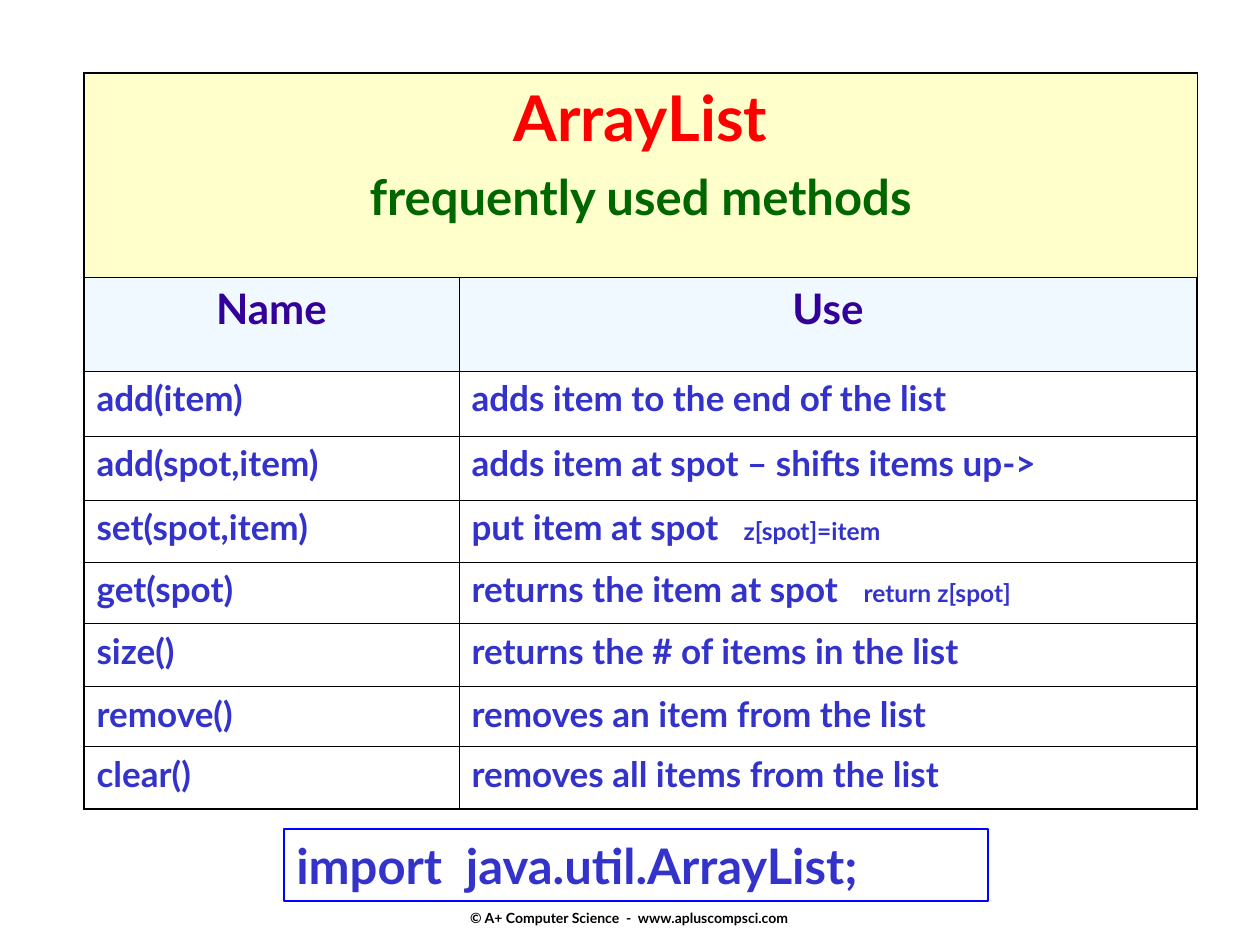
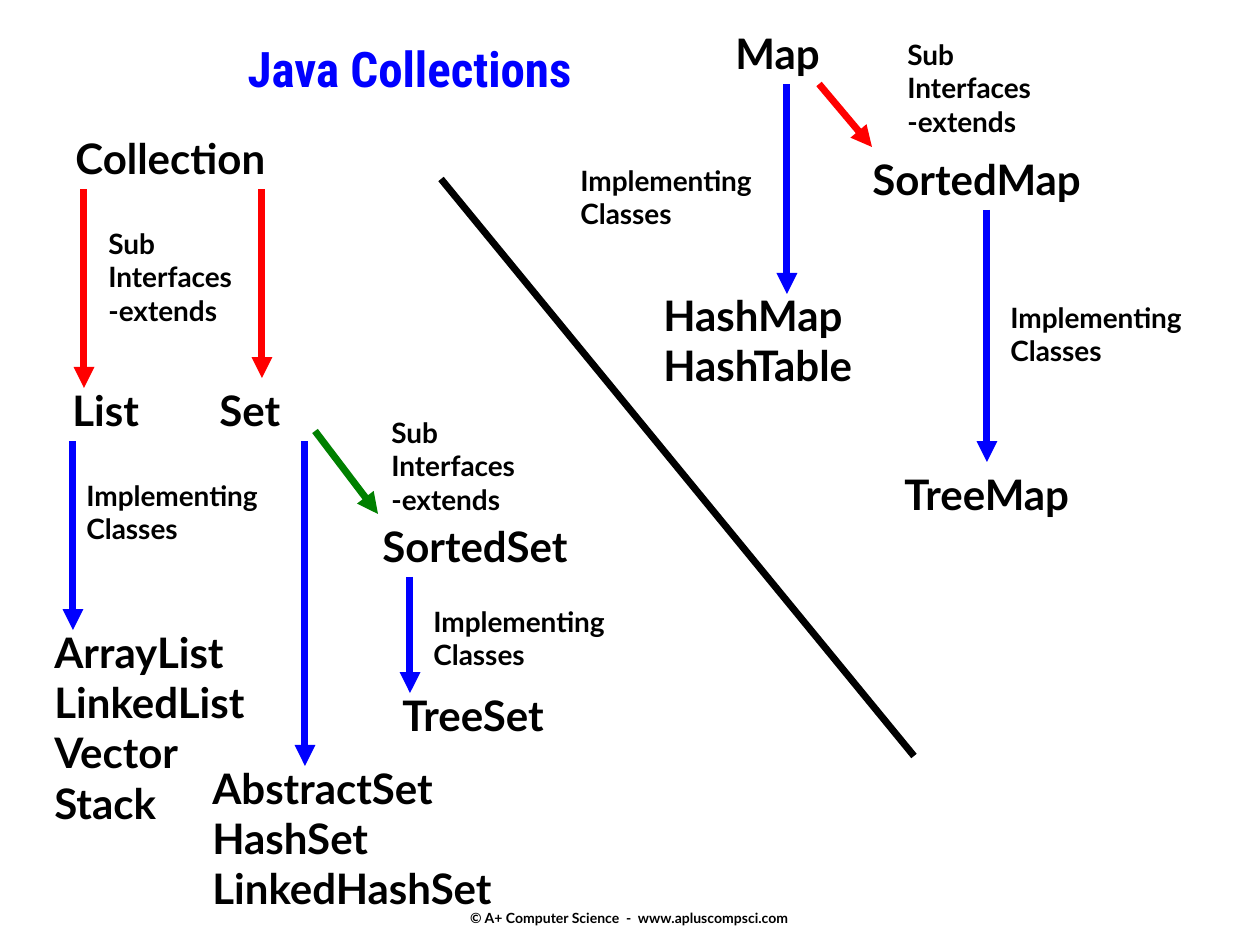
from dataclasses import dataclass

from lxml import etree
from pptx import Presentation
from pptx import util as u
from pptx.dml.color import RGBColor
from pptx.enum import shapes, text
from pptx.oxml import ns

SCALE = 914400 / 126  # EMU in one px


@dataclass(frozen=True)
class Theme:
    font: str = "Lato"
    title_font: str = "Roboto Condensed"
    black: str = "000000"
    blue: str = "0000FF"
    red: str = "FF0000"
    green: str = "008000"
    heading_green: str = "006600"
    purple: str = "330099"
    code_blue: str = "3333CC"
    cream: str = "FFFFCC"
    pale_blue: str = "F0F9FF"
    banner: int = 36
    title: int = 28
    node: int = 24
    body: int = 20
    label: int = 16
    aside: int = 14
    footer: int = 8
    arrow: float = 4
    outer_border: float = 1.08
    inner_border: float = 0.45


T = Theme()
LEFT, CENTER = text.PP_ALIGN.LEFT, text.PP_ALIGN.CENTER

METHODS = [
    ("add(item)", "adds item to the end of the list"),
    ("add(spot,item)", "adds item at spot – shifts items up->"),
    ("set(spot,item)", "put item at spot", "z[spot]=item", 272),
    ("get(spot)", "returns the item at spot", "return z[spot]", 392),
    ("size()", "returns the # of items in the list"),
    ("remove()", "removes an item from the list"),
    ("clear()", "removes all items from the list"),
]

EXTENDS = ("Sub", "Interfaces", "-extends")
IMPLEMENTS = ("Implementing", "Classes")

# Nodes: left, top, width, names. Labels: left, top. Arrows: from, to, colour.
COLLECTION_NODES = [
    (21, 0, 234, ["Collection"]),
    (18, 252, 110, ["List"]),
    (165, 252, 110, ["Set"]),
    (0, 494, 242, ["ArrayList", "LinkedList", "Vector", "Stack"]),
    (158, 630, 339, ["AbstractSet", "HashSet", "LinkedHashSet"]),
    (348, 557, 184, ["TreeSet"]),
    (328, 388, 229, ["SortedSet"]),
]
COLLECTION_LABELS = [
    (EXTENDS, [(54, 94), (337, 283)]),
    (IMPLEMENTS, [(32, 346), (379, 472)]),
]
COLLECTION_ARROWS = [
    (42, 63, 42, 262, T.red),
    (220, 63, 220, 252, T.red),
    (273, 305, 336, 388, T.green),
    (263, 315, 263, 640, T.blue),
    (368, 451, 368, 567, T.blue),
    (31, 315, 31, 504, T.blue),
]
MAP_NODES = [
    (155, 0, 116, ["Map"]),
    (324, 441, 209, ["TreeMap"]),
    (292, 126, 254, ["SortedMap"]),
    (83, 262, 244, ["HashMap", "HashTable"]),
]
MAP_LABELS = [
    (EXTENDS, [(327, 10)]),
    (IMPLEMENTS, [(430, 273), (0, 136)]),
]
MAP_ARROWS = [
    (251, 63, 304, 126, T.red),
    (219, 63, 219, 273, T.blue),
    (419, 189, 419, 441, T.blue),
]


def px(length):
    return u.Emu(round(length * SCALE))


def rgb(colour):
    return RGBColor.from_string(colour)


def add_run(paragraph, words, size, colour, font=T.font):
    run = paragraph.add_run()
    run.text = words
    run.font.name = font
    run.font.size = u.Pt(size)
    run.font.bold = True
    run.font.color.rgb = rgb(colour)


def write(frame, lines, size, colour, align=LEFT, font=T.font):
    for number, line in enumerate(lines):
        paragraph = frame.paragraphs[0] if number == 0 else frame.add_paragraph()
        paragraph.alignment = align
        add_run(paragraph, line, size, colour, font)


def add_words(slide, left, top, width, height, lines, size,
              align=LEFT, anchor=text.MSO_ANCHOR.TOP):
    box = slide.shapes.add_textbox(px(left), px(top), px(width), px(height))
    box.text_frame.word_wrap = True
    box.text_frame.vertical_anchor = anchor
    write(box.text_frame, lines, size, T.black, align)
    return box


def add_footer(slide):
    add_words(slide, 430, 900, 399, 36,
              ["© A+ Computer Science  -  www.apluscompsci.com"],
              T.footer, CENTER, text.MSO_ANCHOR.MIDDLE)


def add_line(slide, x1, y1, x2, y2, colour, arrow=True):
    line = slide.shapes.add_connector(
        shapes.MSO_CONNECTOR.STRAIGHT, px(x1), px(y1), px(x2), px(y2))
    line.line.color.rgb = rgb(colour)
    line.line.width = u.Pt(T.arrow)
    properties = line._element.spPr
    if arrow:
        outline = properties.find(ns.qn("a:ln"))
        etree.SubElement(outline, ns.qn("a:tailEnd"), type="triangle")
    etree.SubElement(properties, ns.qn("a:effectLst"))
    return line


def set_borders(cell, outer):
    """Draw the four borders, heavier on the sides named in outer."""
    properties = cell._tc.get_or_add_tcPr()
    for side in "LRTB":
        width = T.outer_border if side in outer else T.inner_border
        border = etree.SubElement(properties, ns.qn(f"a:ln{side}"),
                                  w=str(u.Pt(width)))
        fill = etree.SubElement(border, ns.qn("a:solidFill"))
        etree.SubElement(fill, ns.qn("a:srgbClr"), val=T.black)


def fill_cell(cell, colour):
    cell.fill.solid()
    cell.fill.fore_color.rgb = rgb(colour)


def add_aside(paragraph, words, tab):
    """Add a smaller remark that starts at a tab stop."""
    stops = etree.SubElement(paragraph._p.get_or_add_pPr(), ns.qn("a:tabLst"))
    etree.SubElement(stops, ns.qn("a:tab"), pos=str(px(tab)), algn="l")
    add_run(paragraph, "\t", T.body, T.code_blue)
    add_run(paragraph, words, T.aside, T.code_blue)


def methods_table(slide, left, top):
    widths = (375, 738)
    heights = (204, 94, 65, 64, 62, 62, 63, 60, 62)
    table = slide.shapes.add_table(
        len(heights), len(widths), px(left), px(top),
        px(sum(widths)), px(sum(heights))).table
    table.first_row = table.horz_banding = False
    for column, width in zip(table.columns, widths):
        column.width = px(width)
    last_row, last_column = len(heights) - 1, len(widths) - 1
    for r, height in enumerate(heights):
        table.rows[r].height = px(height)
        for c in range(len(widths)):
            outer = (("T" if r == 0 else "") + ("B" if r == last_row else "")
                     + ("L" if c == 0 else "") + ("R" if c == last_column else ""))
            set_borders(table.cell(r, c), outer)
            table.cell(r, c).fill.background()

    banner = table.cell(0, 0)
    banner.merge(table.cell(0, last_column))
    fill_cell(banner, T.cream)
    write(banner.text_frame, ["ArrayList"], T.banner, T.red, CENTER)
    subtitle = banner.text_frame.add_paragraph()
    subtitle.alignment = CENTER
    subtitle.space_before = u.Pt(7)
    add_run(subtitle, "frequently used methods", T.title, T.heading_green)

    for c, heading in enumerate(("Name", "Use")):
        fill_cell(table.cell(1, c), T.pale_blue)
        write(table.cell(1, c).text_frame, [heading], T.node, T.purple, CENTER)
    for r, (name, use, *aside) in enumerate(METHODS, start=2):
        write(table.cell(r, 0).text_frame, [name], T.body, T.code_blue)
        use_frame = table.cell(r, 1).text_frame
        write(use_frame, [use], T.body, T.code_blue)
        if aside:
            add_aside(use_frame.paragraphs[0], *aside)


def import_box(slide, left, top, width, height):
    box = slide.shapes.add_shape(shapes.MSO_SHAPE.RECTANGLE,
                                 px(left), px(top), px(width), px(height))
    box.shadow.inherit = False
    box.fill.background()
    box.line.color.rgb = rgb(T.blue)
    box.line.width = u.Pt(1)
    box.text_frame.word_wrap = True
    box.text_frame.vertical_anchor = text.MSO_ANCHOR.TOP
    write(box.text_frame, ["import  java.util.ArrayList;"], T.title, T.code_blue)


def hierarchy(slide, left, top, nodes, labels, arrows):
    """Draw one family of types; return its boxes and arrows by name and start."""
    boxes = {}
    for x, y, width, names in nodes:
        height = 13 + 50 * len(names)
        boxes[names[0]] = add_words(slide, left + x, top + y, width, height,
                                    names, T.node)
    for lines, places in labels:
        width = 168 if lines is EXTENDS else 232
        for x, y in places:
            add_words(slide, left + x, top + y, width, 13 + 34 * len(lines),
                      lines, T.label)
    lines_by_start = {
        (x1, y1): add_line(slide, left + x1, top + y1, left + x2, top + y2, colour)
        for x1, y1, x2, y2, colour in arrows}
    return boxes, lines_by_start


def methods_slide(deck):
    slide = deck.slides.add_slide(deck.slide_layouts[6])
    add_footer(slide)
    methods_table(slide, 84, 73)
    import_box(slide, 284, 829, 704, 72)


def collections_slide(deck):
    slide = deck.slides.add_slide(deck.slide_layouts[5])
    add_footer(slide)
    title = slide.shapes.title
    title.left, title.top, title.width, title.height = map(px, (210, 32, 399, 94))
    title.text_frame.vertical_anchor = text.MSO_ANCHOR.TOP
    title.text_frame.auto_size = text.MSO_AUTO_SIZE.NONE
    write(title.text_frame, ["Java Collections"], T.title, T.blue, CENTER,
          T.title_font)
    hierarchy(slide, 42, 126, COLLECTION_NODES, COLLECTION_LABELS,
              COLLECTION_ARROWS)
    boxes, arrows = hierarchy(slide, 568, 21, MAP_NODES, MAP_LABELS, MAP_ARROWS)
    arrows[419, 189].begin_connect(boxes["SortedMap"], 2)
    add_line(slide, 441, 179, 914, 756, T.black, arrow=False)


def main():
    deck = Presentation()
    deck.slide_width, deck.slide_height = px(1260), px(945)
    methods_slide(deck)
    collections_slide(deck)
    deck.save("out.pptx")


if __name__ == "__main__":
    main()
